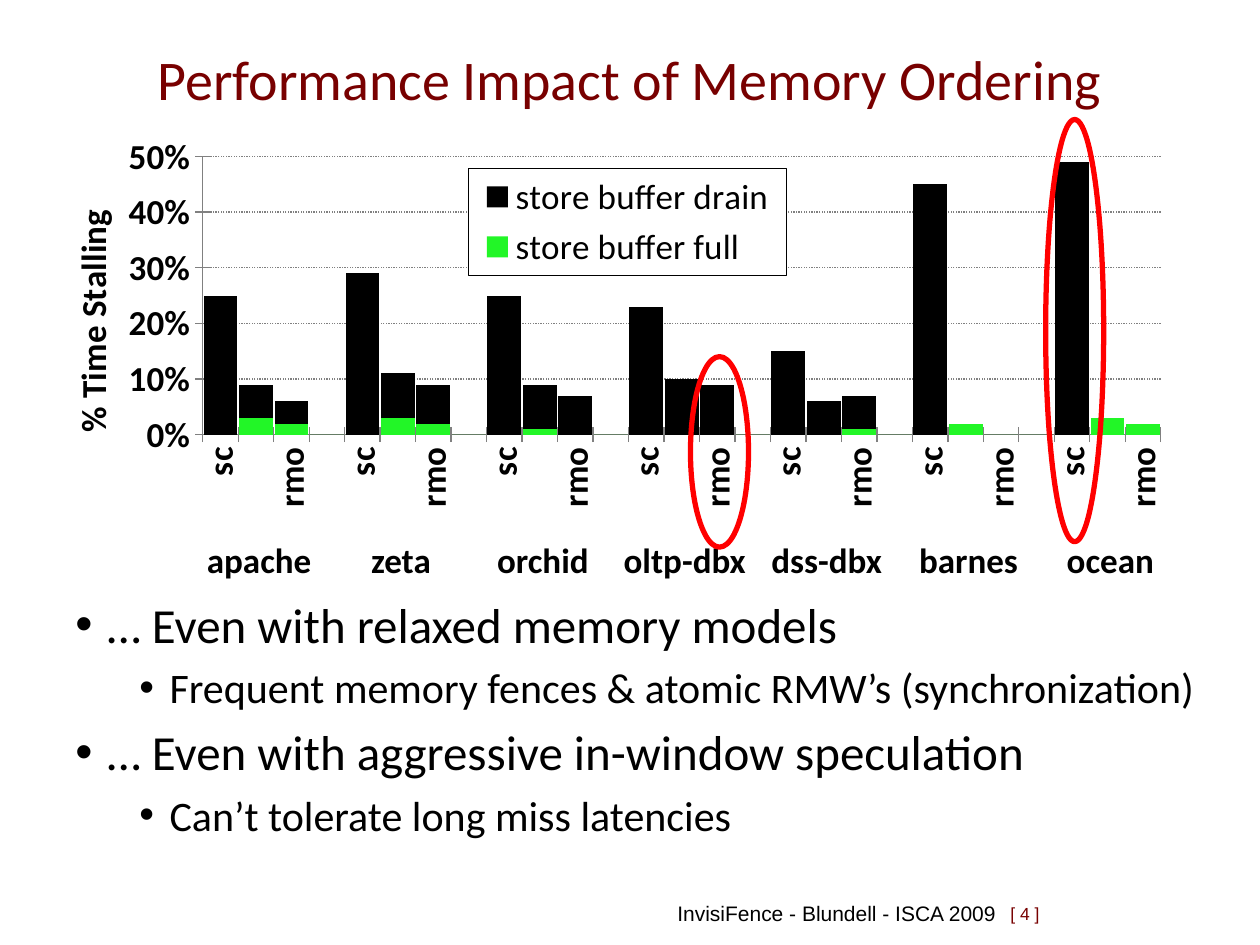
from lxml import etree
from pptx import Presentation
from pptx.chart.data import CategoryChartData
from pptx.dml.color import RGBColor
from pptx.enum.chart import XL_CHART_TYPE as CT, XL_LEGEND_POSITION as LP, XL_TICK_MARK as TM
from pptx.enum.dml import MSO_LINE
from pptx.enum.shapes import MSO_SHAPE as SHAPE
from pptx.enum.text import MSO_ANCHOR as ANCHOR, PP_ALIGN as ALIGN
from pptx.oxml import parse_xml
from pptx.oxml.ns import nsdecls, qn
from pptx.util import Cm, Pt

BLACK, MAROON, GREEN, RED, GRAY, WHITE = "000000", "780000", "22F627", "FF0000", "808080", "FFFFFF"

BENCHMARKS = ["apache", "zeta", "orchid", "oltp-dbx", "dss-dbx", "barnes", "ocean"]
MODELS = ["sc", "tso", "rmo"]
FULL = [(0, 0.03, 0.02), (0, 0.03, 0.02), (0, 0.01, 0), (0, 0, 0),
        (0, 0, 0.01), (0, 0.02, 0), (0, 0.03, 0.02)]
DRAIN = [(0.25, 0.06, 0.04), (0.29, 0.08, 0.07), (0.25, 0.08, 0.07), (0.23, 0.1, 0.09),
         (0.15, 0.06, 0.06), (0.45, 0, 0), (0.49, 0, 0)]
BULLETS = [
    (0, "… Even with relaxed memory models"),
    (1, "Frequent memory fences & atomic RMW’s (synchronization)"),
    (0, "… Even with aggressive in-window speculation"),
    (1, "Can’t tolerate long miss latencies"),
]


def rgb(value):
    return RGBColor.from_string(value)


def spaced(groups, gap):
    return [v for g in groups for v in (*g, gap)][:-1]


def chart_layout(x, y, w, h, inner=False):
    target = '<c:layoutTarget val="inner"/>' if inner else ""
    return parse_xml(
        f'<c:layout {nsdecls("c")}><c:manualLayout>{target}'
        '<c:xMode val="edge"/><c:yMode val="edge"/>'
        f'<c:x val="{x}"/><c:y val="{y}"/><c:w val="{w}"/><c:h val="{h}"/>'
        '</c:manualLayout></c:layout>')


class Deck:
    font = "Calibri"

    def __init__(self):
        self.prs = Presentation()
        self.prs.slide_width, self.prs.slide_height = Cm(25.4), Cm(19.05)
        self.s = self.prs.slides.add_slide(self.prs.slide_layouts[5])

    def style(self, font, size, color=BLACK, bold=False, name=None):
        font.name, font.size, font.bold = name or self.font, Pt(size), bold
        font.color.rgb = rgb(color)

    def run(self, p, text, size, **style):
        r = p.add_run()
        r.text = text
        self.style(r.font, size, **style)

    def title(self, text, x, y, w, h):
        sp = self.s.shapes.title
        sp.left, sp.top, sp.width, sp.height = Cm(x), Cm(y), Cm(w), Cm(h)
        tf = sp.text_frame
        tf.vertical_anchor = ANCHOR.MIDDLE
        p = tf.paragraphs[0]
        p.alignment = ALIGN.CENTER
        self.run(p, text, 32, color=MAROON)

    def box(self, x, y, w, h, anchor=ANCHOR.TOP):
        tf = self.s.shapes.add_textbox(Cm(x), Cm(y), Cm(w), Cm(h)).text_frame
        tf.word_wrap = True
        tf.vertical_anchor = anchor
        return tf

    def text(self, text, x, y, w, h, size, align, anchor=ANCHOR.TOP, **style):
        p = self.box(x, y, w, h, anchor).paragraphs[0]
        p.alignment = align
        self.run(p, text, size, **style)

    def bullets(self, items, x, y, w, h):
        tf = self.box(x, y, w, h)
        for i, (level, text) in enumerate(items):
            p = tf.add_paragraph() if i else tf.paragraphs[0]
            size = (28, 24)[level]
            p.level = level
            pPr = p._p.get_or_add_pPr()
            pPr.set("marL", str(Cm((0.64, 1.9)[level])))
            pPr.set("indent", str(-Cm((0.64, 0.61)[level])))
            etree.SubElement(pPr, qn("a:buFont")).set("typeface", "Arial")
            etree.SubElement(pPr, qn("a:buChar")).set("char", "•")
            if i:
                p.space_before = Pt(size * 0.2)
            self.run(p, text, size)

    def ellipse(self, x, y, w, h):
        sp = self.s.shapes.add_shape(SHAPE.OVAL, Cm(x), Cm(y), Cm(w), Cm(h))
        sp.shadow.inherit = False
        sp.fill.background()
        sp.line.color.rgb = rgb(RED)
        sp.line.width = Pt(3)

    def axis(self, axis):
        axis.major_tick_mark = TM.CROSS
        axis.format.line.color.rgb = rgb(GRAY)
        self.style(axis.tick_labels.font, 20, bold=True)

    def stacked_chart(self, categories, series, x, y, w, h):
        data = CategoryChartData(number_format="0%")
        data.categories = categories
        for name, values, _ in series:
            data.add_series(name, values)
        chart = self.s.shapes.add_chart(CT.COLUMN_STACKED, Cm(x), Cm(y), Cm(w), Cm(h), data).chart
        self.style(chart.font, 18, name="Arial")
        chart.has_title = False

        plot = chart.plots[0]
        plot.gap_width, plot.overlap, plot.vary_by_categories = 5, 100, False
        for ser, (_, _, color) in zip(plot.series, series):
            ser.format.fill.solid()
            ser.format.fill.fore_color.rgb = rgb(color)

        cat, val = chart.category_axis, chart.value_axis
        self.axis(cat)
        self.axis(val)
        cat._element.txPr.find(qn("a:bodyPr")).set("rot", "-5400000")
        val.minimum_scale, val.maximum_scale, val.major_unit = 0, 0.5, 0.1
        val.tick_labels.number_format = "0%"
        val.tick_labels.number_format_is_linked = False
        grid = val.major_gridlines.format.line
        grid.color.rgb = rgb(GRAY)
        grid.dash_style = MSO_LINE.ROUND_DOT
        p = val.axis_title.text_frame.paragraphs[0]
        self.run(p, "% Time Stalling", 20, bold=True)

        area = chart._chartSpace.chart.plotArea
        for old in area.findall(qn("c:layout")):
            area.remove(old)
        area.insert(0, chart_layout(0.111, 0.051, 0.753, 0.676, inner=True))
        self.legend(chart)

    def legend(self, chart):
        chart.has_legend = True
        legend = chart.legend
        legend.position = LP.RIGHT
        legend.include_in_layout = False
        self.style(legend.font, 20)
        el = legend._element
        for old in el.findall(qn("c:layout")):
            el.remove(old)
        el.find(qn("c:legendPos")).addnext(chart_layout(0.32, 0.08, 0.25, 0.26))
        el.find(qn("c:overlay")).addnext(parse_xml(
            f'<c:spPr {nsdecls("c", "a")}>'
            f'<a:solidFill><a:srgbClr val="{WHITE}"/></a:solidFill>'
            f'<a:ln w="9525"><a:solidFill><a:srgbClr val="{BLACK}"/></a:solidFill></a:ln></c:spPr>'))


def main():
    deck = Deck()
    deck.title("Performance Impact of Memory Ordering", 1.27, 0.84, 22.86, 1.47)
    deck.bullets(BULLETS, 1.27, 11.86, 23.39, 5.49)
    deck.text("InvisiFence - Blundell - ISCA 2009", 9.53, 17.78, 10.8, 1.27, 12,
              ALIGN.RIGHT, ANCHOR.MIDDLE, name="Arial")
    deck.text("[ 4 ]", 20.12, 17.78, 1.7, 1.27, 10,
              ALIGN.LEFT, ANCHOR.MIDDLE, name="Arial", color=MAROON)
    deck.stacked_chart(
        spaced([MODELS] * len(BENCHMARKS), ""),
        [("store buffer full", spaced(FULL, 0), GREEN),
         ("store buffer drain", spaced(DRAIN, 0), BLACK)],
        1.24, 2.72, 25.65, 8.31)
    for i, name in enumerate(BENCHMARKS):
        deck.text(name, 3.7 + 2.86 * i, 10.74, 3.05, 1.12, 20, ALIGN.CENTER, bold=True)
    deck.ellipse(21.08, 2.41, 1.17, 8.51)
    deck.ellipse(13.92, 7.19, 1.17, 3.84)
    deck.prs.save("out.pptx")


if __name__ == "__main__":
    main()
